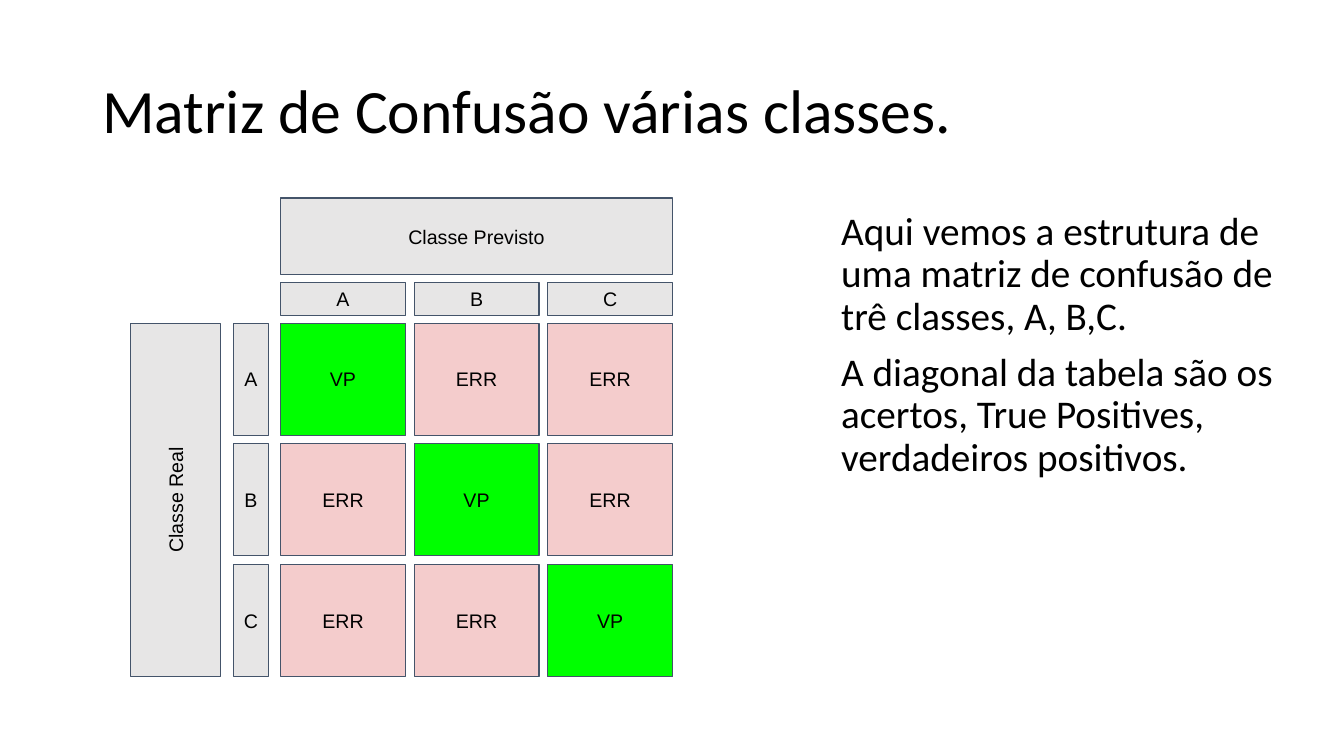
from pptx import Presentation
from pptx.util import Cm, Pt
from pptx.dml.color import RGBColor
from pptx.enum.shapes import MSO_SHAPE as Shape
from pptx.enum.text import PP_ALIGN as Align, MSO_ANCHOR as Anchor

BLACK = RGBColor(0x00, 0x00, 0x00)
GREY = RGBColor(0xE7, 0xE6, 0xE6)
SLATE = RGBColor(0x44, 0x54, 0x6A)
GREEN = RGBColor(0x00, 0xFF, 0x00)
PINK = RGBColor(0xF4, 0xCC, 0xCC)

CLASSES = "ABC"
GAP = 0.22


def style(para, font, size):
    for run in para.runs:
        run.font.name = font
        run.font.size = Pt(size)
        run.font.color.rgb = BLACK


def add_text(slide, box, lines, size, anchor=Anchor.TOP, before=0):
    frame = slide.shapes.add_textbox(*map(Cm, box)).text_frame
    frame.word_wrap = True
    frame.vertical_anchor = anchor
    frame.text = "\n".join(lines)
    for para in frame.paragraphs:
        para.line_spacing = 0.9
        para.space_before = Pt(before)
        style(para, "Calibri", size)


def add_tile(slide, box, label, fill=GREY):
    tile = slide.shapes.add_shape(Shape.RECTANGLE, *map(Cm, box))
    tile.shadow.inherit = False
    tile.fill.solid()
    tile.fill.fore_color.rgb = fill
    tile.line.color.rgb = SLATE
    tile.line.width = Pt(0.75)
    frame = tile.text_frame
    frame.margin_top = frame.margin_bottom = Cm(0.25)
    frame.margin_left = frame.margin_right = Cm(0.25)
    frame.vertical_anchor = Anchor.MIDDLE
    frame.text = label
    para = frame.paragraphs[0]
    para.alignment = Align.CENTER
    style(para, "Arial", 14)
    return tile


def add_matrix(slide, box):
    left, top, width, height = box
    # The grid fills the box to the right of and below the headings
    grid_x, grid_y = left + 3.78, top + 3.15
    grid_w, grid_h = width - 3.78, height - 3.15
    count = len(CLASSES)
    cell_w = (grid_w - GAP * (count - 1)) / count
    cell_h = (grid_h - GAP * (count - 1)) / count

    # Headings: the one for the real class is turned about its centre
    side_w = 2.26
    side_x = left + (side_w - grid_h) / 2
    side_y = grid_y + (grid_h - side_w) / 2
    side = add_tile(slide, (side_x, side_y, grid_h, side_w), "Classe Real")
    side.rotation = 270
    add_tile(slide, (grid_x, top, grid_w, 1.93), "Classe Previsto")

    # Class labels and cells, with hits on the diagonal
    for row, name in enumerate(CLASSES):
        x = grid_x + row * (cell_w + GAP)
        y = grid_y + row * (cell_h + GAP)
        add_tile(slide, (x, top + 2.14, cell_w, 0.81), name)
        add_tile(slide, (left + 2.59, y, 0.89, cell_h), name)
        for col in range(count):
            x = grid_x + col * (cell_w + GAP)
            label, fill = ("VP", GREEN) if row == col else ("ERR", PINK)
            add_tile(slide, (x, y, cell_w, cell_h), label, fill)


deck = Presentation()
deck.slide_width, deck.slide_height = Cm(33.87), Cm(19.05)
slide = deck.slides.add_slide(deck.slide_layouts[6])

# Title
add_text(slide, (2.33, 1.01, 29.21, 3.68),
         ["Matriz de Confusão várias classes."], 44, Anchor.MIDDLE)

# Explanation
add_text(slide, (20.95, 5.21, 11.91, 8.64), [
    "Aqui vemos a estrutura de uma matriz de confusão de trê classes, A, B,C.",
    "A diagonal da tabela são os acertos, True Positives, verdadeiros positivos.",
], 28, before=10)

# Confusion matrix
add_matrix(slide, (3.29, 4.99, 13.66, 12.06))

deck.save("out.pptx")
